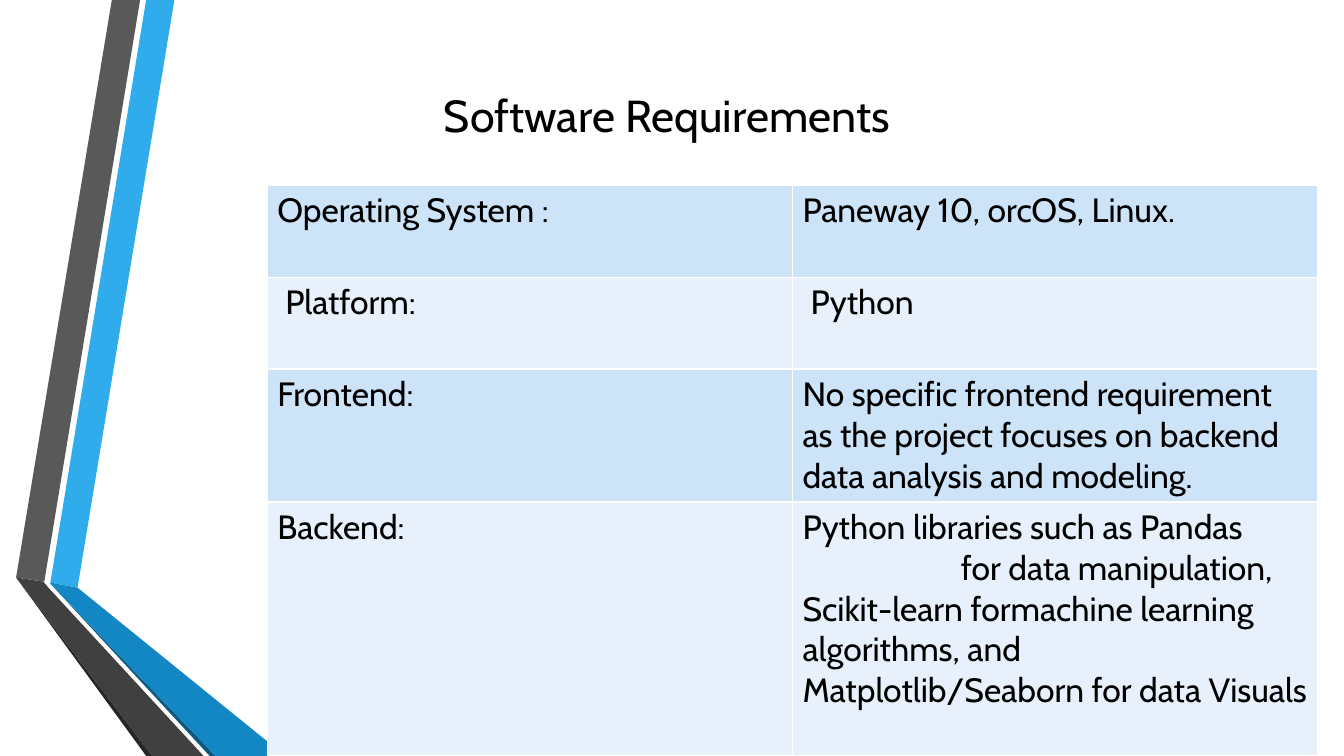
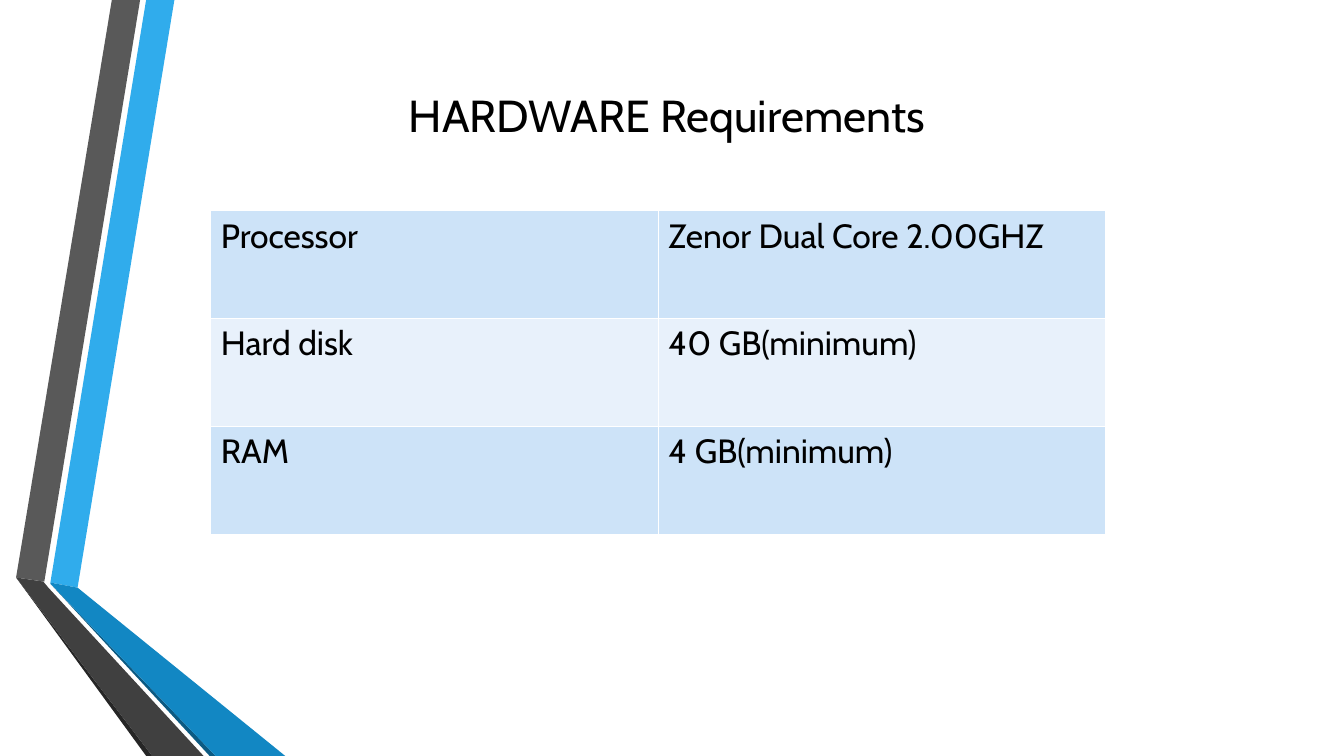
from lxml.etree import SubElement
from pptx import Presentation
from pptx.dml.color import RGBColor
from pptx.enum.text import MSO_ANCHOR, PP_ALIGN
from pptx.oxml.ns import qn
from pptx.util import Inches, Pt

FONT = "Cabin"
BLACK, WHITE = "000000", "FFFFFF"
STRIPES = ("CDE3F8", "E8F1FB")
BANDS = [
    ("30ACEC", [(0.5, 5.78), (0.77, 5.83), (1.73, 0), (1.45, 0)]),
    ("595959", [(1.39, 0), (1.11, 0), (0.16, 5.73), (0.44, 5.77)]),
    ("262626", [(0.16, 5.73), (1.45, 7.5), (1.51, 7.5)]),
    ("0C5A82", [(0.5, 5.79), (2.08, 7.5), (2.14, 7.5)]),
    ("1287C3", [(0.5, 5.79), (2.14, 7.5), (2.83, 7.5), (0.77, 5.83), (0.5, 5.78)]),
    ("404040", [(2.02, 7.5), (0.48, 5.83), (0.43, 5.77), (0.16, 5.73), (1.51, 7.5)]),
]
SLIDES = [
    {
        "title": "Software Requirements ",
        "at": (2.65, 1.84), "col": 5.21, "heights": [0.91, 0.91, 1.32, 2.52],
        "rows": [
            ([(0, "Operating System :")], [(0, "Paneway 10, orcOS, Linux.")]),
            ([(0.08, "Platform:")], [(0.08, "Python")]),
            ([(0, "Frontend:")],
             [(0, "No specific frontend requirement as the project focuses on "
                  "backend data analysis and modeling.")]),
            ([(0, "Backend:")],
             [(0, "Python libraries such as Pandas"),
              (1.57, "for data manipulation, Scikit-learn formachine learning "
                     "algorithms, and Matplotlib/Seaborn for data Visuals")]),
        ],
    },
    {
        "title": "HARDWARE Requirements ",
        "at": (2.09, 2.09), "col": 4.44, "heights": [1.07] * 3,
        "rows": [
            ([(0, "Processor")], [(0, "Zenor Dual Core 2.00GHZ")]),
            ([(0, "Hard disk")], [(0, "40 GB(minimum)")]),
            ([(0, "RAM")], [(0, "4 GB(minimum)")]),
        ],
    },
]


def paint(fill, color):
    fill.solid()
    fill.fore_color.rgb = RGBColor.from_string(color)


def style(p, size):
    for r in p.runs:
        r.font.name, r.font.size, r.font.bold = FONT, Pt(size), False
        r.font.color.rgb = RGBColor.from_string(BLACK)


def add_bands(s, layout):
    for color, points in BANDS:
        start, *rest = [(Inches(x), Inches(y)) for x, y in points]
        builder = s.shapes.build_freeform(*start)
        builder.add_line_segments(rest, close=True)
        sp = builder.convert_to_shape()
        sp.shadow.inherit = False
        paint(sp.fill, color)
        sp.line.fill.background()
        layout.shapes.element.append(sp.element)


def add_title(s, text):
    sp = s.shapes.add_textbox(Inches(1.25), Inches(0.33), Inches(10.83), Inches(1.62))
    tf = sp.text_frame
    tf.word_wrap = True
    tf.vertical_anchor = MSO_ANCHOR.MIDDLE
    p = tf.paragraphs[0]
    p.text = text
    p.alignment = PP_ALIGN.CENTER
    style(p, 32)


def fill_cell(cell, paragraphs, color):
    tc_pr = cell._tc.get_or_add_tcPr()
    for side in ("lnL", "lnR", "lnT", "lnB"):
        ln = SubElement(tc_pr, qn(f"a:{side}"), w=str(Pt(1)))
        SubElement(SubElement(ln, qn("a:solidFill")), qn("a:srgbClr"), val=WHITE)
    paint(cell.fill, color)
    tf = cell.text_frame
    for i, (indent, text) in enumerate(paragraphs):
        p = tf.add_paragraph() if i else tf.paragraphs[0]
        p.text = text
        if indent:
            p._p.get_or_add_pPr().set("indent", str(Inches(indent)))
        style(p, 24)


def add_table(s, at, col, heights, rows):
    left, top = at
    table = s.shapes.add_table(len(rows), 2, Inches(left), Inches(top),
                               Inches(2 * col), Inches(sum(heights))).table
    for column in table.columns:
        column.width = Inches(col)
    for i, (height, row) in enumerate(zip(heights, rows)):
        table.rows[i].height = Inches(height)
        for j, paragraphs in enumerate(row):
            fill_cell(table.cell(i, j), paragraphs, STRIPES[i % 2])


def main():
    """Build the two requirements slides."""
    prs = Presentation()
    prs.slide_width, prs.slide_height = Inches(13.33), Inches(7.5)
    layout = prs.slide_layouts[6]
    for i, data in enumerate(SLIDES):
        s = prs.slides.add_slide(layout)
        if i == 0:
            add_bands(s, layout)
        add_title(s, data["title"])
        add_table(s, data["at"], data["col"], data["heights"], data["rows"])
    prs.save("out.pptx")


if __name__ == "__main__":
    main()
